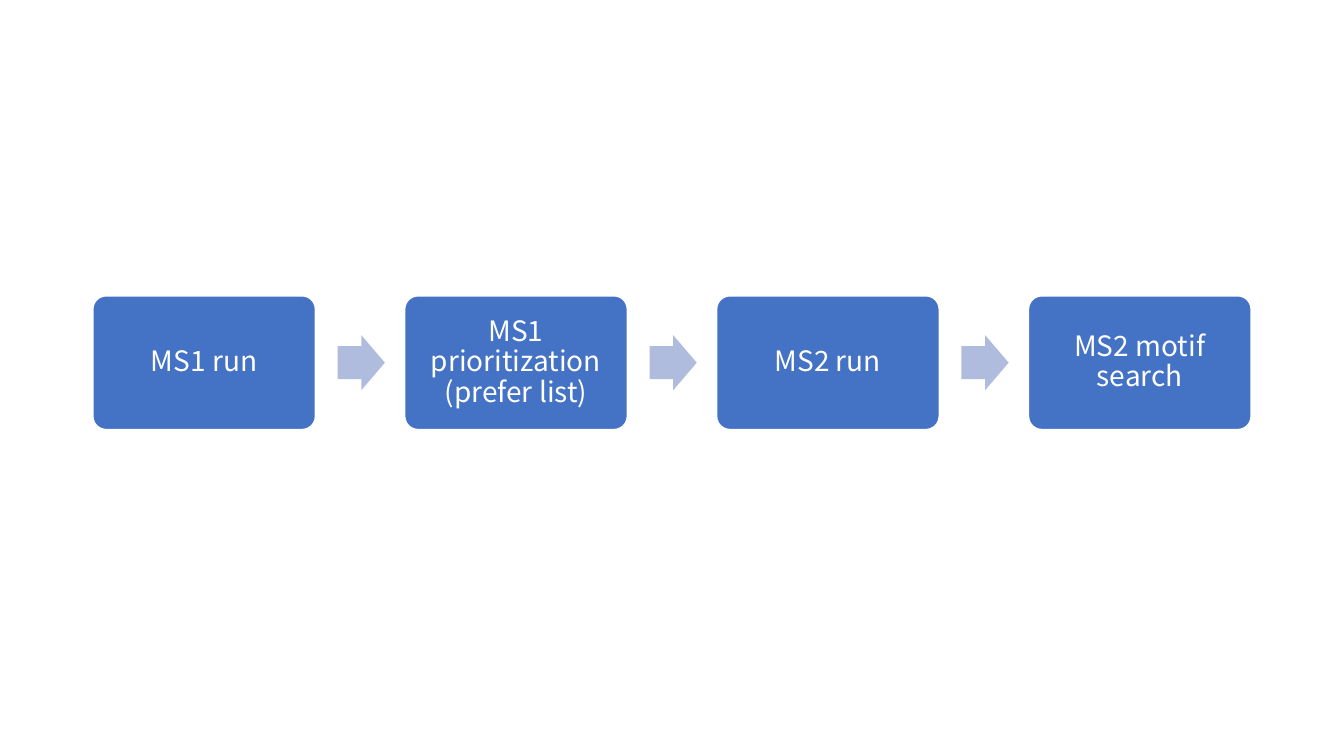
"""Build a slide with a four-step mass spectrometry workflow."""
from pptx import Presentation
from pptx import util as u
from pptx.dml.color import RGBColor
from pptx.enum import shapes, text

HUES = {"box": "4472C4", "arrow": "B0BCDE", "white": "FFFFFF"}
STEPS = ["MS1 run", "MS1 prioritization (prefer list)", "MS2 run", "MS2 motif search"]
LEFT, PITCH, MID = 2.34, 7.86, 9.14
BOX_W, BOX_H = 5.61, 3.37
ARROW_W, ARROW_H, ARROW_DX = 1.19, 1.39, 6.17


def hue(name):
    return RGBColor.from_string(HUES[name])


def add_form(group, kind, left, width, height, fill, adjust, edge=None):
    form = group.shapes.add_shape(
        kind, u.Cm(left), u.Cm(MID - height / 2), u.Cm(width), u.Cm(height))
    form.shadow.inherit = False
    form.fill.solid()
    form.fill.fore_color.rgb = hue(fill)
    for i, value in enumerate(adjust):
        form.adjustments[i] = value
    if edge:
        form.line.color.rgb = hue(edge)
        form.line.width = u.Pt(1)
    else:
        form.line.fill.background()
    return form


def put_text(form, words, size=20, font="Noto Sans CJK SC", color="white", inset=0.21):
    frame = form.text_frame
    frame.word_wrap = True
    frame.vertical_anchor = text.MSO_ANCHOR.MIDDLE
    frame.margin_left = frame.margin_right = u.Cm(inset)
    frame.margin_top = frame.margin_bottom = u.Cm(inset)
    para = frame.paragraphs[0]
    para.alignment = text.PP_ALIGN.CENTER
    para.line_spacing = 0.9
    run = para.add_run()
    run.text = words
    run.font.size = u.Pt(size)
    run.font.name = font
    run.font.color.rgb = hue(color)


def add_step(group, left, words):
    box = add_form(group, shapes.MSO_SHAPE.ROUNDED_RECTANGLE, left,
                   BOX_W, BOX_H, "box", [0.1], edge="white")
    put_text(box, words)


def add_arrow(group, left):
    add_form(group, shapes.MSO_SHAPE.RIGHT_ARROW, left,
             ARROW_W, ARROW_H, "arrow", [0.6, 0.5])


def main():
    deck = Presentation()
    deck.slide_width, deck.slide_height = u.Cm(33.87), u.Cm(19.05)
    slide = deck.slides.add_slide(deck.slide_layouts[6])
    group = slide.shapes.add_group_shape()
    for i, words in enumerate(STEPS):
        left = LEFT + i * PITCH
        add_step(group, left, words)
        if i < len(STEPS) - 1:
            add_arrow(group, left + ARROW_DX)
    deck.save("out.pptx")


if __name__ == "__main__":
    main()
